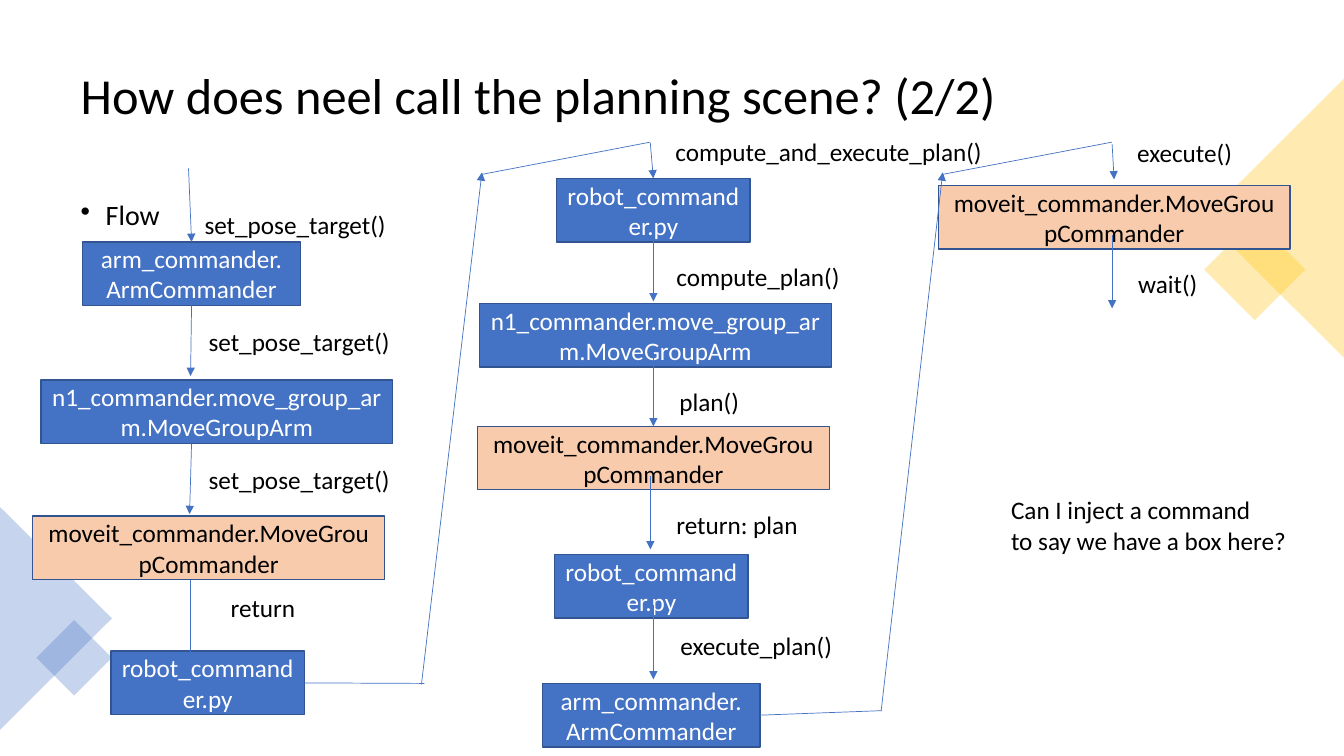
"""Builds a slide that follows a planning call through three lanes of boxes."""
from lxml.etree import SubElement
from pptx import Presentation
from pptx.dml.color import RGBColor
from pptx.enum.shapes import MSO_CONNECTOR, MSO_SHAPE
from pptx.enum.text import MSO_ANCHOR, MSO_AUTO_SIZE, PP_ALIGN
from pptx.oxml.ns import qn
from pptx.util import Inches, Pt

COLUMNS, ROWS = 13.33, 7.5
CELL = Inches(1)
BOX_HEIGHT, LABEL_HEIGHT = 0.63, 0.4
TOP, RIGHT, BOTTOM = 0, 3, 2

BLUE = RGBColor(0x44, 0x72, 0xC4)
NAVY = RGBColor(0x32, 0x54, 0x91)
PEACH = RGBColor(0xF8, 0xCB, 0xAD)
GOLD = RGBColor(0xFF, 0xC0, 0x00)
BLACK = RGBColor(0, 0, 0)
WHITE = RGBColor(0xFF, 0xFF, 0xFF)

KINDS = {
    "arm": ("arm_commander.\nArmCommander", 2.16, BLUE, WHITE),
    "group": ("n1_commander.move_group_arm.MoveGroupArm", 3.49, BLUE, WHITE),
    "moveit": ("moveit_commander.MoveGroupCommander", 3.49, PEACH, BLACK),
    "robot": ("robot_commander.py", 1.92, BLUE, WHITE),
}

BOXES = {
    "arm start": ("arm", 1.9, 2.4),
    "group target": ("group", 2.15, 3.77),
    "moveit target": ("moveit", 2.07, 5.12),
    "robot return": ("robot", 2.06, 6.46),
    "robot compute": ("robot", 6.48, 1.77),
    "group plan": ("group", 6.5, 3.01),
    "moveit plan": ("moveit", 6.48, 4.23),
    "robot plan": ("robot", 6.46, 5.5),
    "arm execute": ("arm", 6.46, 6.78),
    "moveit execute": ("moveit", 11.05, 1.84),
}

LABELS = [
    ("set_pose_target()", 1.93, 2.03, 2.02),
    ("set_pose_target()", 1.97, 3.19, 2.02),
    ("set_pose_target()", 1.97, 4.56, 2.02),
    ("return", 2.19, 5.83, 0.85),
    ("compute_and_execute_plan()", 6.6, 1.3, 3.28),
    ("compute_plan()", 6.61, 2.54, 1.84),
    ("plan()", 6.64, 3.78, 0.8),
    ("return: plan", 6.61, 5, 1.42),
    ("execute_plan()", 6.65, 6.2, 1.73),
    ("execute()", 11.18, 1.31, 1.15),
    ("wait()", 11.19, 2.61, 0.8),
    ("Can I inject a command\nto say we have a box here?", 9.93, 4.86, 2.96),
]

ARROWS = [
    ((1.87, 1.67), ("arm start", TOP)),
    (("arm start", BOTTOM), (1.89, 3.73)),
    ((1.9, 4.4), (1.88, 5.1)),
    ((4.18, 6.79), (4.78, 1.71)),
    ((6.45, 1.42), ("robot compute", TOP)),
    ((6.48, 2.26), (6.48, 2.99)),
    ((6.48, 3.5), ("moveit plan", TOP)),
    ((6.45, 4.72), (6.45, 5.45)),
    ((6.48, 6), (6.48, 6.74)),
    ((8.74, 7.05), (9.35, 1.71)),
    ((11.03, 1.43), (11.05, 1.78)),
    ((11.03, 2.33), (11.03, 3.06)),
]

PLAIN_LINES = [
    ((1.89, 5.75), (1.89, 6.48)),
    (("robot return", RIGHT), (4.21, 6.78)),
    ((4.78, 1.73), (6.45, 1.41)),
    (("arm execute", RIGHT), (8.75, 7.05)),
    ((9.35, 1.73), (11.03, 1.41)),
]

DECOR = [
    (MSO_SHAPE.RECTANGLE, 12.09, 2.32, 0.71, 0.71, 45, GOLD),
    (MSO_SHAPE.ISOSCELES_TRIANGLE, 11.25, 1.47, 2.77, 1.39, 270, GOLD),
    (MSO_SHAPE.ISOSCELES_TRIANGLE, -0.55, 5.58, 2.21, 1.11, 90, BLUE),
    (MSO_SHAPE.RECTANGLE, 0.47, 6.26, 0.53, 0.53, 45, BLUE),
]


def cells(*counts):
    """Turn counts of grid columns or rows into lengths."""
    return [round(n * CELL) for n in counts]


def write(tf, text, size, color, align=PP_ALIGN.LEFT):
    """Fill a text frame with evenly formatted paragraphs."""
    tf.text = text
    for p in tf.paragraphs:
        p.alignment = align
        p.font.size, p.font.name = Pt(size), "Calibri"
        p.font.color.rgb = color


def add_title(s, text):
    """Place and format the title."""
    sp = s.shapes.title
    sp.left, sp.top, sp.width, sp.height = cells(0.7, 0.35, 11.93, 1.24)
    tf = sp.text_frame
    tf.vertical_anchor = MSO_ANCHOR.MIDDLE
    write(tf, text, 36, BLACK)
    tf.paragraphs[0].line_spacing = 0.9


def add_bullet(s, text):
    """Add the bulleted heading of the flow."""
    tf = s.shapes.add_textbox(*cells(0.7, 1.95, 1.09, 4.81)).text_frame
    tf.word_wrap = True
    write(tf, text, 20, BLACK)
    p = tf.paragraphs[0]
    p.line_spacing, p.space_before = 0.9, Pt(10)
    pPr = p._p.get_or_add_pPr()
    pPr.set("marL", str(Inches(0.25)))
    pPr.set("indent", str(-Inches(0.25)))
    bullet = pPr.makeelement(qn("a:buChar"), {"char": "•"})
    pPr.insert_element_before(bullet, "a:tabLst", "a:defRPr", "a:extLst")


def add_decor(s, shape, x, y, w, h, angle, color):
    """Add a translucent corner shape."""
    sp = s.shapes.add_shape(shape, *cells(x, y, w, h))
    sp.rotation = angle
    sp.shadow.inherit = False
    sp.line.fill.background()
    sp.fill.solid()
    sp.fill.fore_color.rgb = color
    tint = sp._element.spPr.find(qn("a:solidFill"))[0]
    SubElement(tint, qn("a:alpha"), val="30000")


def add_box(s, kind, center, y):
    """Add a module box centred on a column position."""
    text, width, fill, color = KINDS[kind]
    sp = s.shapes.add_shape(
        MSO_SHAPE.RECTANGLE, *cells(center - width / 2, y, width, BOX_HEIGHT))
    sp.shadow.inherit = False
    sp.fill.solid()
    sp.fill.fore_color.rgb = fill
    sp.line.color.rgb, sp.line.width = NAVY, Pt(1)
    sp.text_frame.vertical_anchor = MSO_ANCHOR.MIDDLE
    write(sp.text_frame, text, 18, color, PP_ALIGN.CENTER)
    return sp


def add_label(s, text, x, y, width):
    """Add a call name or remark that does not wrap."""
    height = LABEL_HEIGHT + 0.3 * text.count("\n")
    tf = s.shapes.add_textbox(*cells(x, y, width, height)).text_frame
    tf.word_wrap = False
    tf.auto_size = MSO_AUTO_SIZE.SHAPE_TO_FIT_TEXT
    write(tf, text, 18, BLACK)


def add_line(s, boxes, start, end, arrow=False):
    """Add a line between points or (box name, side) pairs."""
    free = [(0, 0) if pt[0] in boxes else pt for pt in (start, end)]
    line = s.shapes.add_connector(
        MSO_CONNECTOR.STRAIGHT, *cells(*free[0], *free[1]))
    for pt, join in ((start, line.begin_connect), (end, line.end_connect)):
        if pt[0] in boxes:
            join(boxes[pt[0]], pt[1])
    line.line.color.rgb, line.line.width = BLUE, Pt(0.5)
    if arrow:
        SubElement(line.line._get_or_add_ln(), qn("a:tailEnd"), type="triangle")
    SubElement(line._element.spPr, qn("a:effectLst"))


def main():
    """Build and save the slide."""
    prs = Presentation()
    prs.slide_width, prs.slide_height = cells(COLUMNS, ROWS)
    s = prs.slides.add_slide(prs.slide_layouts[5])
    add_title(s, "How does neel call the planning scene? (2/2)")
    add_bullet(s, "Flow")
    for decor in DECOR:
        add_decor(s, *decor)
    boxes = {name: add_box(s, *box) for name, box in BOXES.items()}
    for start, end in ARROWS:
        add_line(s, boxes, start, end, arrow=True)
    for start, end in PLAIN_LINES:
        add_line(s, boxes, start, end)
    for label in LABELS:
        add_label(s, *label)
    prs.save("out.pptx")


if __name__ == "__main__":
    main()
